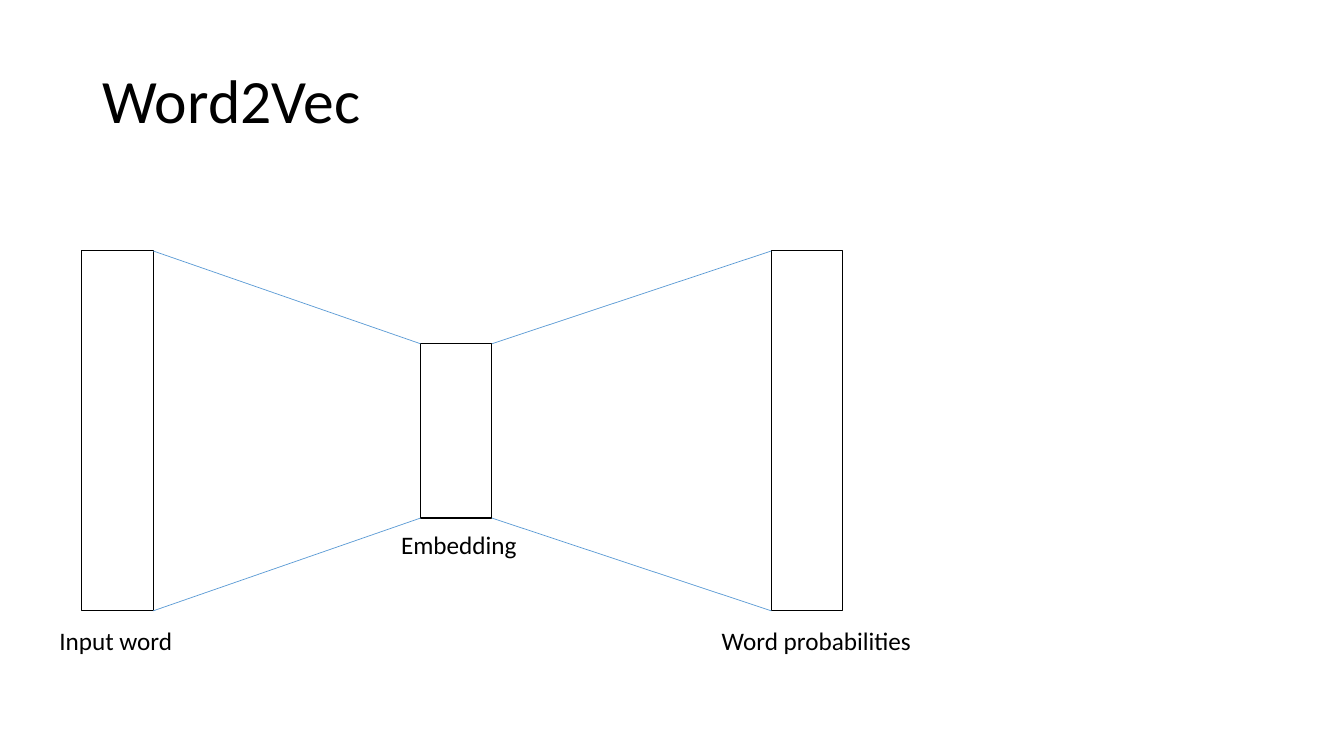
from lxml import etree
from pptx import Presentation
from pptx.enum import shapes, text
from pptx.oxml import ns
from pptx.util import Inches, Pt
from pptx.dml.color import RGBColor

COLOURS = {"ink": "000000", "link": "5B9BD5"}


class Diagram:
    font = "Calibri"

    def __init__(self, slide):
        self.slide = slide

    def colour(self, name):
        return RGBColor.from_string(COLOURS[name])

    def text(self, wording, left, top, width, height, size=18):
        box = self.slide.shapes.add_textbox(
            Inches(left), Inches(top), Inches(width), Inches(height))
        run = box.text_frame.paragraphs[0].add_run()
        run.text = wording
        run.font.name = self.font
        run.font.size = Pt(size)
        run.font.color.rgb = self.colour("ink")
        return box.text_frame

    def title(self, wording):
        frame = self.text(wording, 0.92, 0.3, 11.5, 1.45, size=44)
        frame.word_wrap = True
        frame.vertical_anchor = text.MSO_ANCHOR.MIDDLE
        frame.paragraphs[0].line_spacing = 0.9

    def label(self, wording, left, top, width):
        frame = self.text(wording, left, top, width, 0.4)
        frame.word_wrap = False
        frame.auto_size = text.MSO_AUTO_SIZE.SHAPE_TO_FIT_TEXT

    def layer(self, left, top, width, height):
        bar = self.slide.shapes.add_shape(
            shapes.MSO_SHAPE.RECTANGLE,
            Inches(left), Inches(top), Inches(width), Inches(height))
        bar.shadow.inherit = False
        bar.fill.background()
        bar.line.color.rgb = self.colour("ink")
        bar.line.width = Pt(0.75)

    def link(self, x1, y1, x2, y2):
        line = self.slide.shapes.add_connector(
            shapes.MSO_CONNECTOR.STRAIGHT,
            Inches(x1), Inches(y1), Inches(x2), Inches(y2))
        line.line.color.rgb = self.colour("link")
        line.line.width = Pt(0.5)
        etree.SubElement(line._element.spPr, ns.qn("a:effectLst"))


def main():
    deck = Presentation()
    deck.slide_width, deck.slide_height = Inches(13.33), Inches(7.5)
    diagram = Diagram(deck.slides.add_slide(deck.slide_layouts[6]))
    diagram.title("Word2Vec")

    layer_width = 0.71
    # left, top, bottom of each layer, in reading order
    layers = [(0.81, 2.49, 6.06), (4.17, 3.41, 5.14), (7.65, 2.49, 6.06)]
    for left, top, bottom in layers:
        diagram.layer(left, top, layer_width, bottom - top)

    for (left, *edges), (next_left, *next_edges) in zip(layers, layers[1:]):
        for y, next_y in zip(edges, next_edges):
            diagram.link(left + layer_width, y, next_left, next_y)

    diagram.label("Input word", 0.49, 6.15, 1.34)
    diagram.label("Embedding", 3.88, 5.2, 1.36)
    diagram.label("Word probabilities", 7.06, 6.15, 2.16)

    deck.save("out.pptx")


if __name__ == "__main__":
    main()
